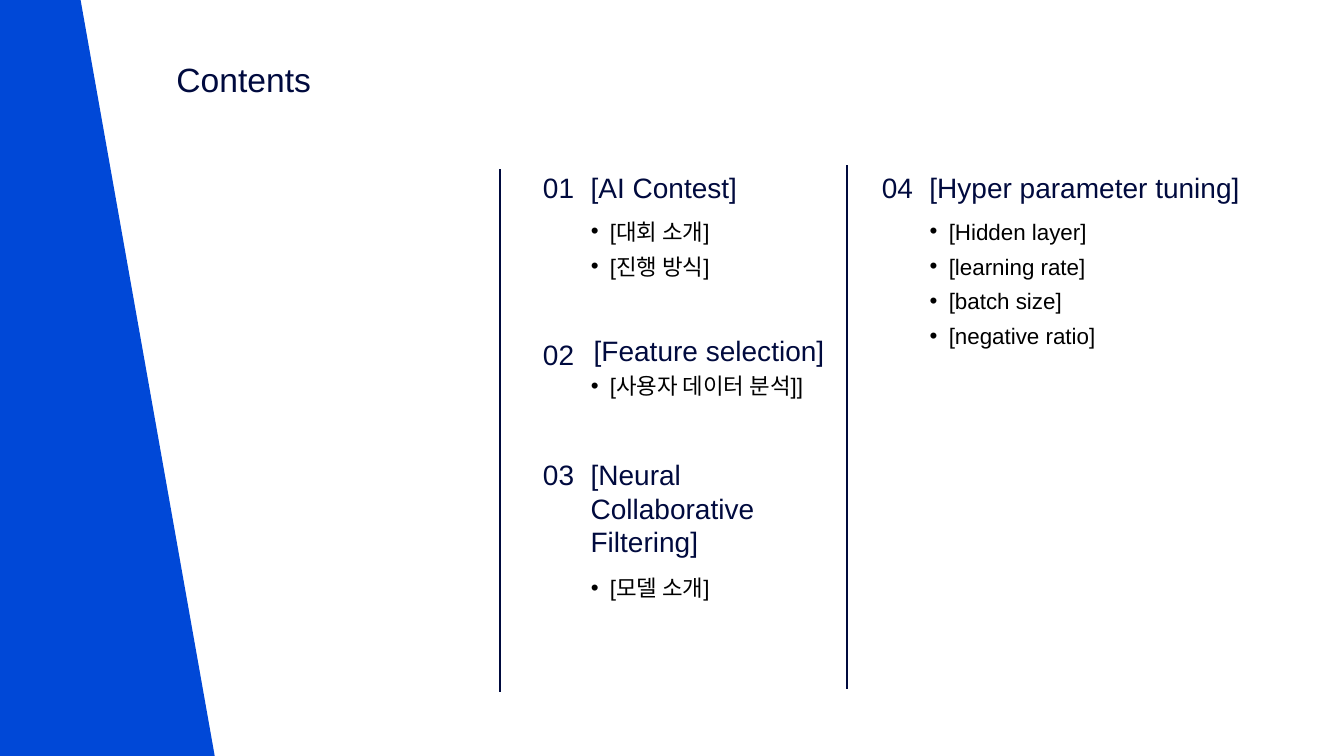
from dataclasses import dataclass

from lxml.etree import SubElement
from pptx import Presentation
from pptx.dml.color import RGBColor
from pptx.enum.text import MSO_ANCHOR, MSO_AUTO_SIZE, PP_ALIGN
from pptx.oxml.ns import qn
from pptx.util import Inches, Pt


@dataclass(frozen=True)
class Theme:
    navy: str = "000A3E"
    blue: str = "0048D7"
    black: str = "000000"
    font: str = "Arial"
    title: int = 24
    heading: int = 20
    item: int = 16
    rule: int = 1


@dataclass(frozen=True)
class Section:
    number: str
    heading: tuple
    items: tuple
    left: float
    top: float
    list_top: float
    heading_width: float = 2.97
    heading_shift: tuple = (0, 0)


THEME = Theme()
TITLE = "Contents"
SECTIONS = [
    Section("01", ("[AI Contest]",), ("[대회 소개]", "[진행 방식]"), 5.13, 1.64, 2.03),
    Section("02", ("[Feature selection]",), ("[사용자 데이터 분석]]",),
            5.13, 3.29, 3.56, heading_shift=(0.03, -0.03)),
    Section("03", ("[Neural", "Collaborative", "Filtering]"), ("[모델 소개]",),
            5.13, 4.49, 5.57, heading_width=3.54),
    Section("04", ("[Hyper parameter tuning]",),
            ("[Hidden layer]", "[learning rate]", "[batch size]", "[negative ratio]"),
            8.49, 1.64, 2.03, heading_width=3.54),
]
DIVIDERS = [(4.96, 1.68, 6.87), (8.4, 1.64, 6.84)]
BAND = [(0, 0), (0.8, 0), (2.13, 7.5), (0, 7.5)]
NUMBER_WIDTH, HEADING_OFFSET, LIST_WIDTH = 0.82, 0.63, 2.74
HEADING_LINE, LIST_LINE, PADDING = 0.34, 0.35, 0.1
INDENT, LIST_SPACING = 0.19, 1.3


def place(holder, left, top, width, height):
    holder.left, holder.top = Inches(left), Inches(top)
    holder.width, holder.height = Inches(width), Inches(height)


def write(holder, lines, size, color, align=PP_ALIGN.LEFT, anchor=MSO_ANCHOR.TOP):
    frame = holder.text_frame
    frame.text = "\n".join(lines)
    frame.word_wrap = True
    frame.auto_size = MSO_AUTO_SIZE.NONE
    frame.vertical_anchor = anchor
    for paragraph in frame.paragraphs:
        paragraph.alignment = align
        paragraph.space_before = Pt(0)
        for run in paragraph.runs:
            run.font.name = THEME.font
            run.font.size = Pt(size)
            run.font.bold = False
            run.font.color.rgb = RGBColor.from_string(color)


def add_bullets(holder):
    for paragraph in holder.text_frame.paragraphs:
        paragraph.line_spacing = LIST_SPACING
        properties = paragraph._p.get_or_add_pPr()
        properties.set("marL", str(Inches(INDENT)))
        properties.set("indent", str(-Inches(INDENT)))
        bullet_color = SubElement(properties, qn("a:buClr"))
        SubElement(bullet_color, qn("a:srgbClr"), val=THEME.black)
        SubElement(properties, qn("a:buFont"), typeface=THEME.font)
        SubElement(properties, qn("a:buChar"), char="•")


def add_band(slide):
    corners = [(Inches(x), Inches(y)) for x, y in BAND]
    outline = slide.shapes.build_freeform(*corners[0])
    outline.add_line_segments(corners[1:], close=True)
    band = outline.convert_to_shape()
    band.shadow.inherit = False
    band.fill.solid()
    band.fill.fore_color.rgb = RGBColor.from_string(THEME.blue)
    band.line.fill.background()


def add_section(slide, section, items):
    number = slide.shapes.add_textbox(0, 0, 0, 0)
    place(number, section.left, section.top, NUMBER_WIDTH, HEADING_LINE + PADDING)
    write(number, [section.number], THEME.heading, THEME.navy,
          PP_ALIGN.CENTER, MSO_ANCHOR.MIDDLE)

    text_left = section.left + HEADING_OFFSET
    shift_x, shift_y = section.heading_shift
    heading = slide.shapes.add_textbox(0, 0, 0, 0)
    place(heading, text_left + shift_x, section.top + shift_y, section.heading_width,
          HEADING_LINE * len(section.heading) + PADDING)
    write(heading, section.heading, THEME.heading, THEME.navy)

    place(items, text_left, section.list_top, LIST_WIDTH,
          LIST_LINE * len(section.items) + PADDING)
    write(items, section.items, THEME.item, THEME.black)
    add_bullets(items)


def add_divider(slide, x, top, bottom):
    divider = slide.shapes.add_connector(1, Inches(x), Inches(top), Inches(x), Inches(bottom))
    divider.line.color.rgb = RGBColor.from_string(THEME.navy)
    divider.line.width = Pt(THEME.rule)
    SubElement(divider._element.spPr, qn("a:effectLst"))


def main():
    """Build the contents slide and save it."""
    deck = Presentation()
    deck.slide_width, deck.slide_height = Inches(13.33), Inches(7.5)
    slide = deck.slides.add_slide(deck.slide_layouts.get_by_name("Comparison"))
    add_band(slide)
    title, *lists = slide.placeholders
    place(title, 1.65, 0.53, 2.86, 0.5)
    write(title, [TITLE], THEME.title, THEME.navy)
    for section, items in zip(SECTIONS, lists):
        add_section(slide, section, items)
    for divider in DIVIDERS:
        add_divider(slide, *divider)
    deck.save("out.pptx")


if __name__ == "__main__":
    main()
